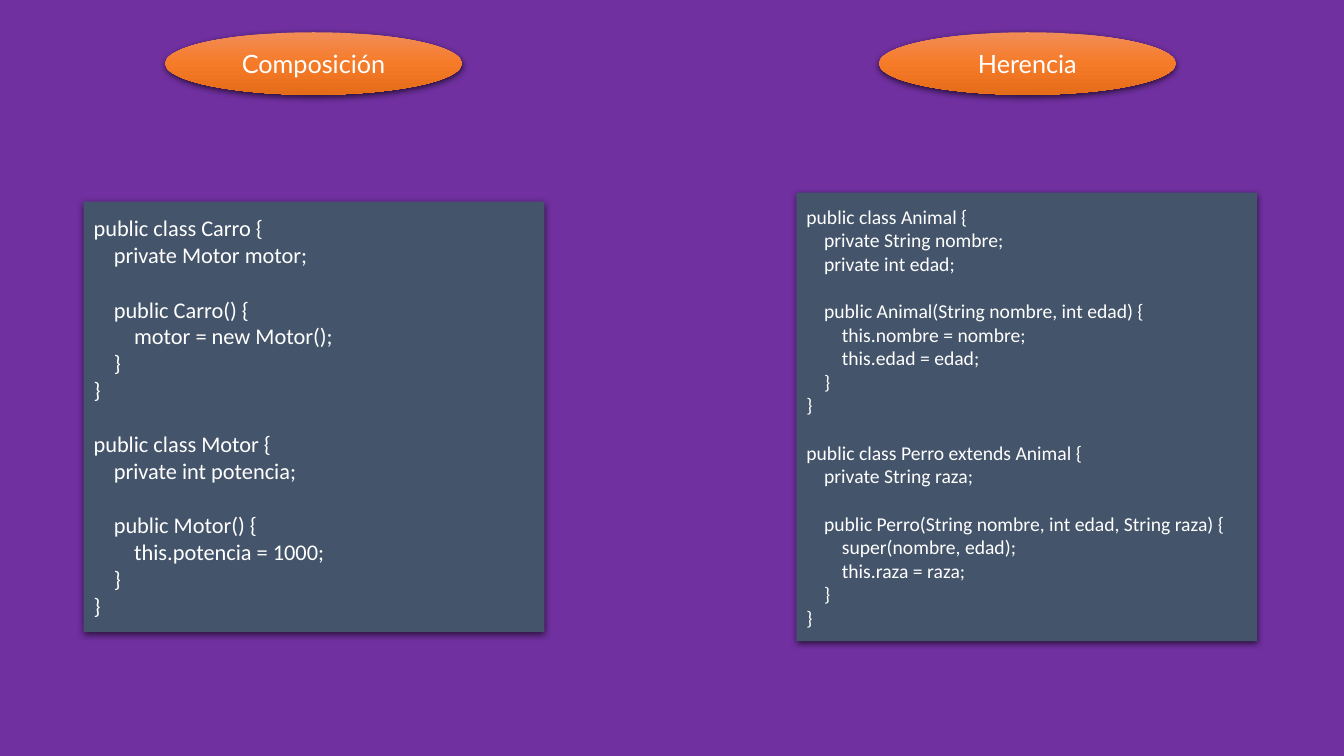
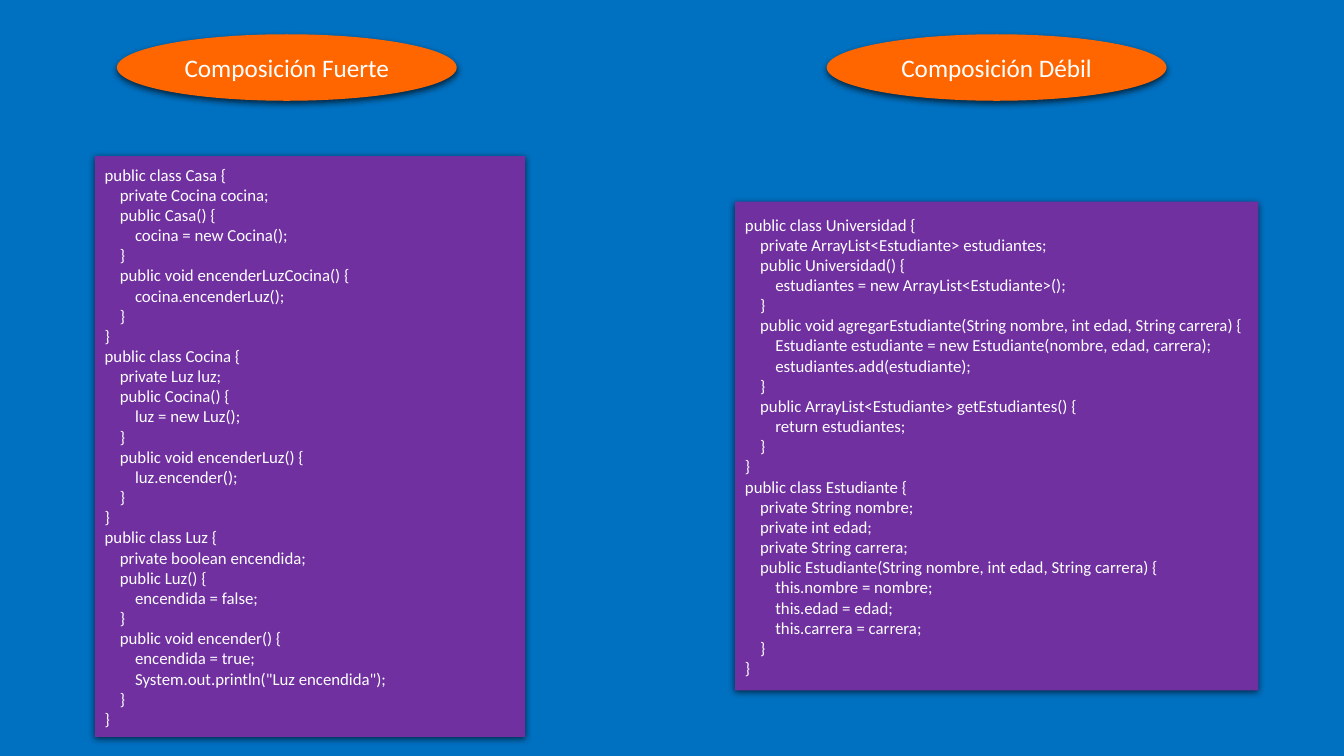
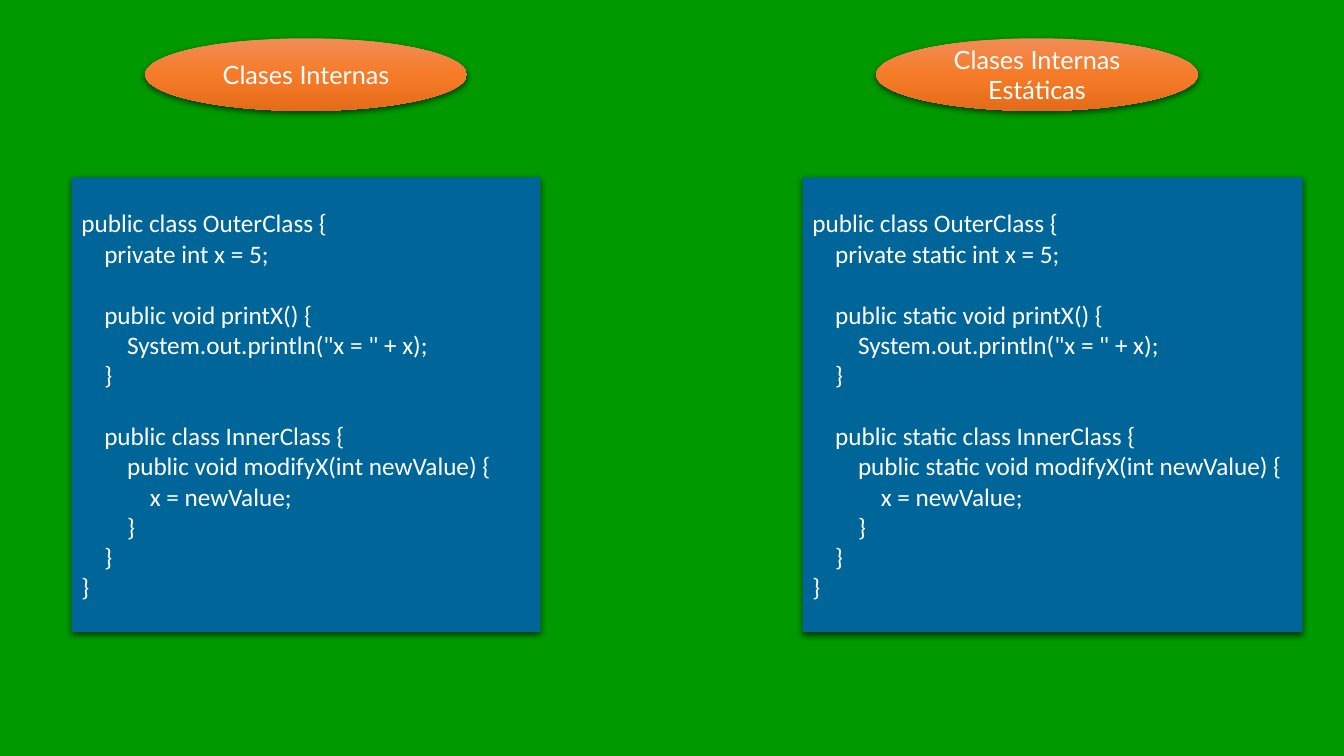
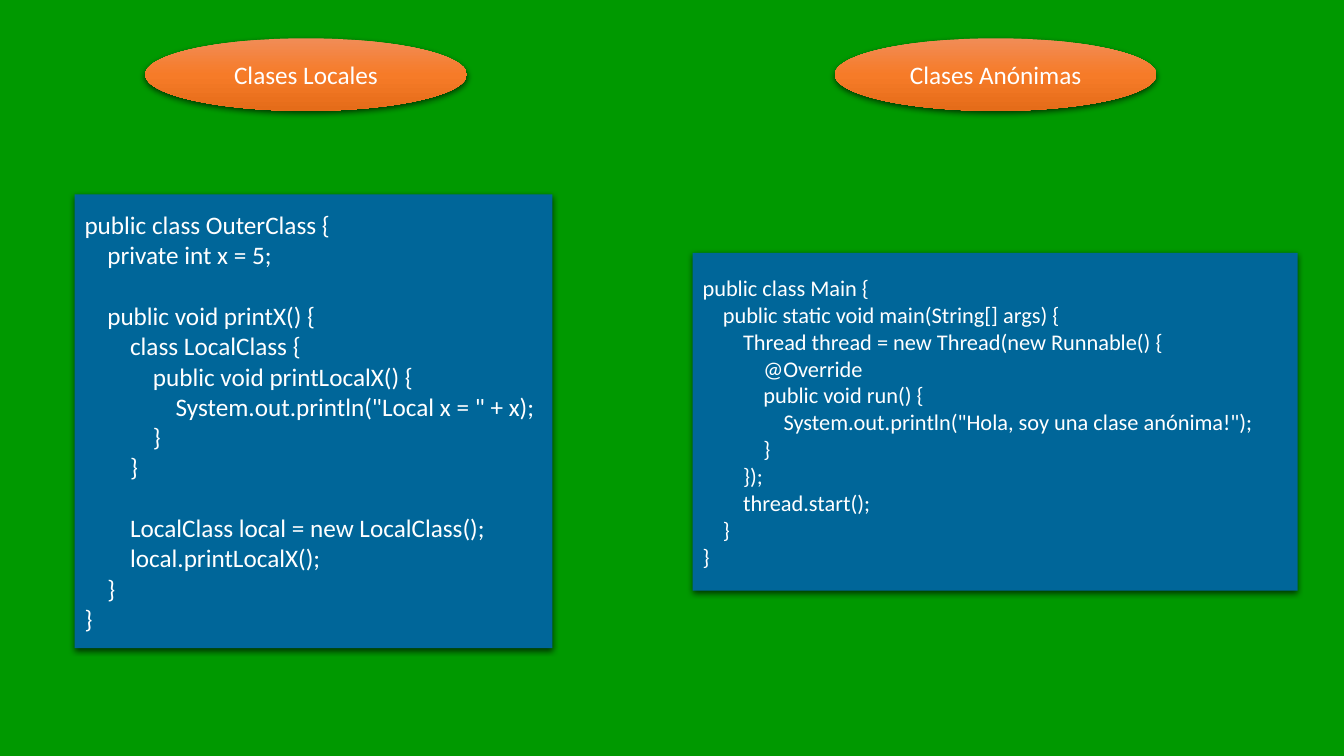
from copy import deepcopy
from pptx import Presentation
from pptx.dml.color import RGBColor as RGB
from pptx.enum.shapes import MSO_SHAPE as SHAPE
from pptx.enum.text import MSO_ANCHOR as ANCHOR, PP_ALIGN as ALIGN
from pptx.oxml import parse_xml
from pptx.oxml.ns import nsdecls, qn
from pptx.util import Inches, Pt

COLORS = {
    "white": "FFFFFF", "shadow": "000000",
    "purple": "7030A0", "blue": "0070C0", "green": "009900",
    "slate": "44546A", "teal": "006699", "orange": "FF6600",
    "light": "F18C57", "middle": "F67B28", "dark": "E56C19",
}
GLOSS = [(0, "light"), (0.5, "middle"), (1, "dark")]
SHADOW = (
    f'<a:outerShdw {nsdecls("a")} blurRad="{Pt(4.5)}" dist="{Pt(1.5)}" '
    'dir="5400000" algn="ctr" rotWithShape="0">'
    f'<a:srgbClr val="{COLORS["shadow"]}"><a:alpha val="63000"/></a:srgbClr>'
    '</a:outerShdw>'
)
TAB = 4
TAB_EM = 0.904
LINE_EM = 1.22

CAR = """\
public class Carro {
    private Motor motor;

    public Carro() {
        motor = new Motor();
    }
}

public class Motor {
    private int potencia;

    public Motor() {
        this.potencia = 1000;
    }
}"""

ANIMAL = """\
public class Animal {
    private String nombre;
    private int edad;

    public Animal(String nombre, int edad) {
        this.nombre = nombre;
        this.edad = edad;
    }
}

public class Perro extends Animal {
    private String raza;

    public Perro(String nombre, int edad, String raza) {
        super(nombre, edad);
        this.raza = raza;
    }
}"""

HOUSE = """\
public class Casa {
    private Cocina cocina;
    public Casa() {
        cocina = new Cocina();
    }
    public void encenderLuzCocina() {
        cocina.encenderLuz();
    }
}
public class Cocina {
    private Luz luz;
    public Cocina() {
        luz = new Luz();
    }
    public void encenderLuz() {
        luz.encender();
    }
}
public class Luz {
    private boolean encendida;
    public Luz() {
        encendida = false;
    }
    public void encender() {
        encendida = true;
        System.out.println("Luz encendida");
    }
}"""

UNIVERSITY = """\
public class Universidad {
    private ArrayList<Estudiante> estudiantes;
    public Universidad() {
        estudiantes = new ArrayList<Estudiante>();
    }
    public void agregarEstudiante(String nombre, int edad, String carrera) {
        Estudiante estudiante = new Estudiante(nombre, edad, carrera);
        estudiantes.add(estudiante);
    }
    public ArrayList<Estudiante> getEstudiantes() {
        return estudiantes;
    }
}
public class Estudiante {
    private String nombre;
    private int edad;
    private String carrera;
    public Estudiante(String nombre, int edad, String carrera) {
        this.nombre = nombre;
        this.edad = edad;
        this.carrera = carrera;
    }
}"""

INNER = """\
public class OuterClass {
    private {static}int x = 5;

    public {static}void printX() {
        System.out.println("x = " + x);
    }

    public {static}class InnerClass {
        public {static}void modifyX(int newValue) {
            x = newValue;
        }
    }
}"""

LOCAL = """\
public class OuterClass {
    private int x = 5;

    public void printX() {
        class LocalClass {
            public void printLocalX() {
                System.out.println("Local x = " + x);
            }
        }

        LocalClass local = new LocalClass();
        local.printLocalX();
    }
}"""

ANONYMOUS = """\
public class Main {
    public static void main(String[] args) {
        Thread thread = new Thread(new Runnable() {
            @Override
            public void run() {
                System.out.println("Hola, soy una clase anónima!");
            }
        });
        thread.start();
    }
}"""


class Deck:
    def __init__(self):
        self.prs = Presentation()
        self.prs.slide_width, self.prs.slide_height = Inches(13.33), Inches(7.5)
        self.slide = None

    def new_slide(self, color):
        self.slide = self.prs.slides.add_slide(self.prs.slide_layouts[6])
        self.shape(SHAPE.RECTANGLE, (0, 0, 13.33, 7.5), color, shadow=False)

    def shape(self, kind, box, color, shadow=True):
        sp = self.slide.shapes.add_shape(kind, *map(Inches, box))
        sp.line.fill.background()
        sp.shadow.inherit = False
        if color == "gloss":
            self.gloss(sp)
        else:
            sp.fill.solid()
            sp.fill.fore_color.rgb = RGB.from_string(COLORS[color])
        if shadow:
            sp._element.spPr.find(qn("a:effectLst")).append(parse_xml(SHADOW))
        tf = sp.text_frame
        for name, value in {"word_wrap": True, "vertical_anchor": ANCHOR.MIDDLE}.items():
            setattr(tf, name, value)
        return sp

    def gloss(self, sp):
        sp.fill.gradient()
        sp.fill.gradient_angle = 270
        stops = next(sp._element.spPr.iter(qn("a:gsLst")))
        stops.append(deepcopy(stops[0]))
        for stop, (position, color) in zip(sp.fill.gradient_stops, GLOSS):
            stop.position = position
            stop.color.rgb = RGB.from_string(COLORS[color])

    def text(self, p, words, size, font="Calibri", align=ALIGN.LEFT):
        p.alignment = align
        r = p.add_run()
        r.text = words
        for name, value in {"name": font, "size": Pt(size)}.items():
            setattr(r.font, name, value)
        r.font.color.rgb = RGB.from_string(COLORS["white"])

    def heading(self, words, box, color, font):
        sp = self.shape(SHAPE.OVAL, box, color)
        self.text(sp.text_frame.paragraphs[0], words, 18, font, ALIGN.CENTER)

    def code(self, source, box, color, size):
        tf = self.shape(SHAPE.RECTANGLE, box, color).text_frame
        p, gap = tf.paragraphs[0], 0
        for number, line in enumerate(source.splitlines()):
            words = line.lstrip()
            if not words:
                gap = LINE_EM * size
                continue
            if number:
                p = tf.add_paragraph()
            level = (len(line) - len(words)) // TAB
            p._p.get_or_add_pPr().set("marL", str(Pt(level * TAB_EM * size)))
            p.space_before = Pt(gap)
            self.text(p, words, size)
            gap = 0


SLIDES = [
    {"back": "purple", "panel": "slate", "oval": "gloss", "font": "Lato",
     "oval_size": (0.32, 2.94, 0.62),
     "columns": [("Composición", 1.64, CAR, (0.83, 2, 4.57, 4.27), 16),
                 ("Herencia", 8.72, ANIMAL, (7.9, 1.91, 4.57, 4.45), 14)]},
    {"back": "blue", "panel": "purple", "oval": "orange", "font": "Calibri",
     "oval_size": (0.34, 3.37, 0.66),
     "columns": [("Composición Fuerte", 1.16, HOUSE, (0.94, 1.55, 4.27, 5.76), 12),
                 ("Composición Débil", 8.2, UNIVERSITY, (7.29, 2, 5.19, 4.85), 12)]},
    {"back": "green", "panel": "teal", "oval": "gloss", "font": "Lato",
     "oval_size": (0.38, 3.19, 0.72),
     "columns": [("Clases Internas", 1.44, INNER.replace("{static}", ""),
                  (0.71, 1.76, 4.65, 4.51), 18),
                 ("Clases Internas Estáticas", 8.69, INNER.replace("{static}", "static "),
                  (7.96, 1.76, 4.96, 4.51), 18)]},
    {"back": "green", "panel": "teal", "oval": "gloss", "font": "Calibri",
     "oval_size": (0.38, 3.19, 0.72),
     "columns": [("Clases Locales", 1.44, LOCAL, (0.74, 1.93, 4.74, 4.5), 18),
                 ("Clases Anónimas", 8.28, ANONYMOUS, (6.87, 2.51, 6, 3.35), 16)]},
]

deck = Deck()
for page in SLIDES:
    deck.new_slide(page["back"])
    for title, left, source, box, size in page["columns"]:
        deck.heading(title, (left, *page["oval_size"]), page["oval"], page["font"])
        deck.code(source, box, page["panel"], size)
deck.prs.save("out.pptx")
